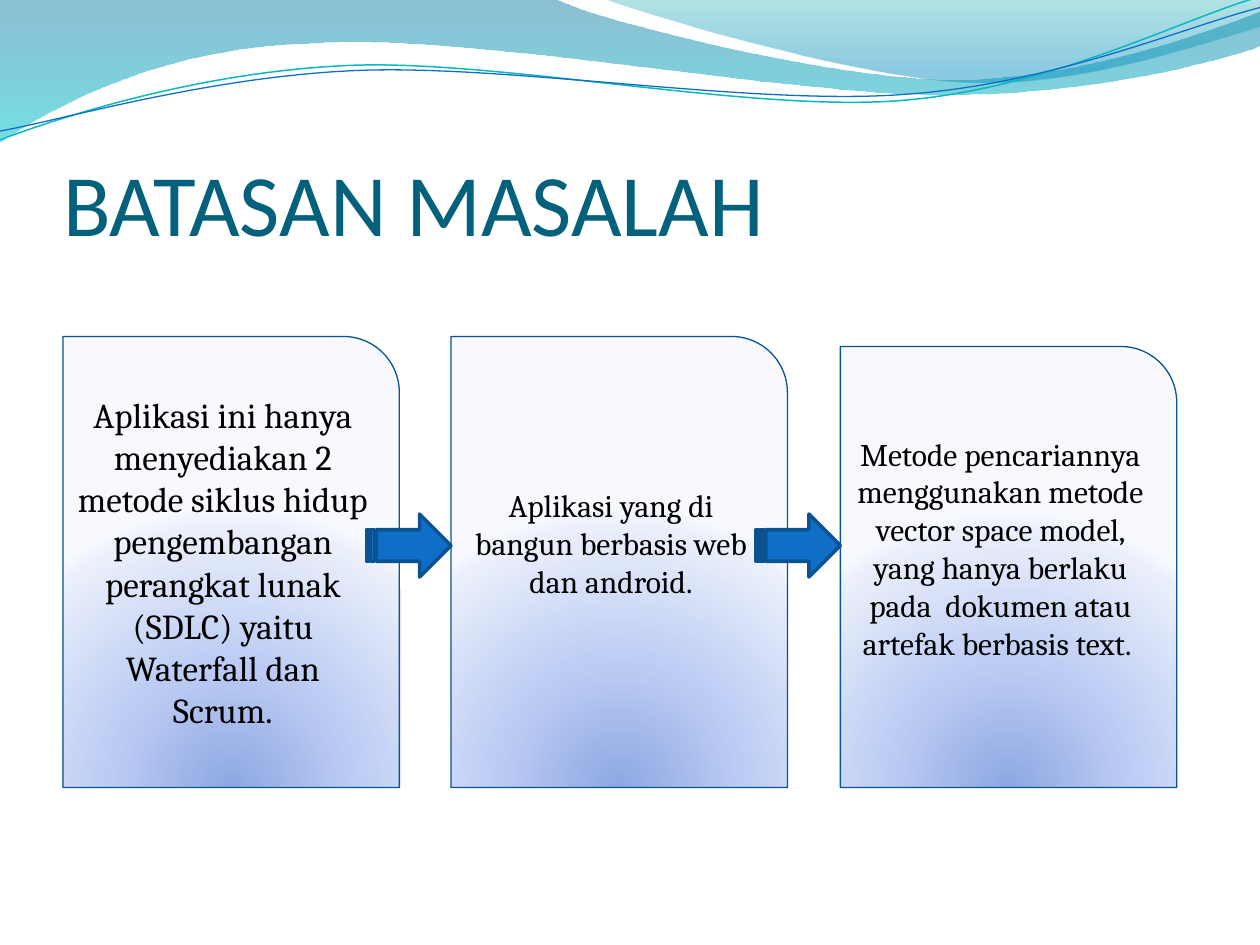
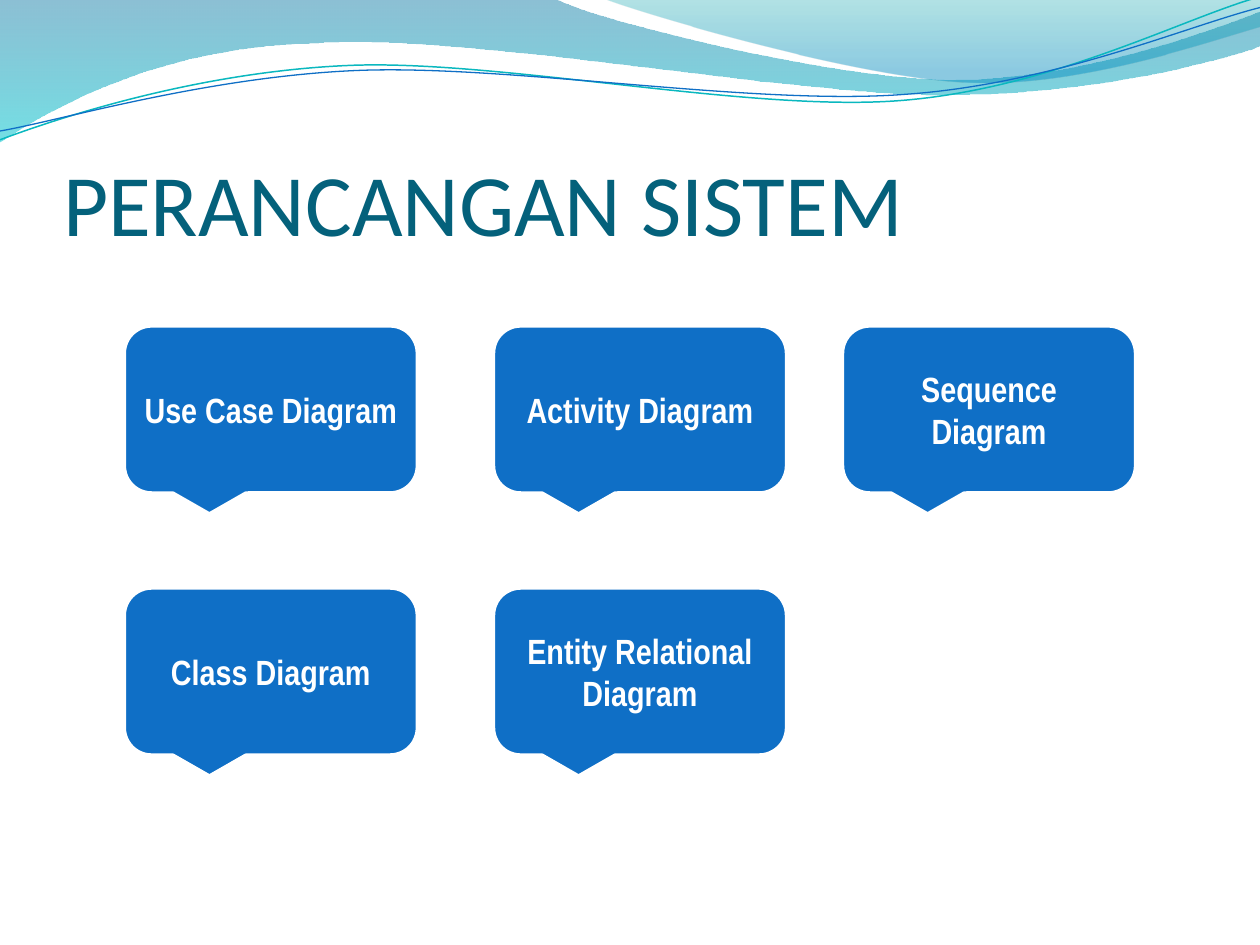
from pptx import Presentation
from pptx.dml.color import RGBColor
from pptx.enum.shapes import MSO_SHAPE
from pptx.enum.text import MSO_ANCHOR, MSO_AUTO_SIZE, PP_ALIGN
from pptx.oxml import parse_xml
from pptx.oxml.ns import nsdecls, qn
from pptx.util import Inches, Pt

CARD = MSO_SHAPE.ROUND_1_RECTANGLE
ARROW = MSO_SHAPE.STRIPED_RIGHT_ARROW
CALLOUT = MSO_SHAPE.ROUNDED_RECTANGULAR_CALLOUT
MIDDLE, BOTTOM = MSO_ANCHOR.MIDDLE, MSO_ANCHOR.BOTTOM
LEFT, CENTER = PP_ALIGN.LEFT, PP_ALIGN.CENTER

BLUE, TEAL, TITLE_COLOR = "0F6FC6", "0AB8BF", "04617B"
BLACK, WHITE = "000000", "FFFFFF"
CARD_LINE, ARROW_LINE = "095295", "0B5292"
DOWNWARD = '<a:lin ang="5400000" scaled="0"/>'
FROM_BELOW = ('<a:path path="circle"><a:fillToRect l="50000" t="130000" '
              'r="50000" b="-30000"/></a:path>')
CARD_FILL = ([(0, "8DA8E3", 100), (43, "BBCBF3", 100),
              (93, "EAEFFB", 100), (100, "F7F9FF", 100)], FROM_BELOW)

# Each wave: start point, segments (one point = line, three = Bezier curve),
# fill, line colour, line width
WAVES = [
    ((0, 0),
     [[(4.4, -0.01)], [(4.76, 0.17), (6.64, 0.63), (7.58, 0.63)],
      [(8.53, 0.63), (9.58, 0.26), (10, 0.09)], [(10.01, 0.36)],
      [(9.83, 0.44), (8.7, 0.76), (7.46, 0.75)],
      [(6.22, 0.75), (3.82, 0.28), (2.57, 0.34)],
      [(1.29, 0.36), (0.46, 0.83), (-0.01, 1.13)], [(0, 0)]],
     ([(0, "0074A1", 45), (100, "00C6CF", 55)], DOWNWARD), None, 0),
    ((4.79, -0.01),
     [[(5.09, 0.11), (6.82, 0.62), (7.69, 0.65)],
      [(8.56, 0.69), (9.61, 0.32), (10, 0.21)], [(10, 0)], [(4.79, -0.01)]],
     ([(0, "00A1A9", 30), (80, "008BBF", 45)], DOWNWARD), None, 0),
    ((0, 1.11),
     [[(0.48, 0.93), (1.58, 0.57), (2.77, 0.52)],
      [(3.95, 0.47), (5.93, 0.89), (7.13, 0.8)],
      [(8.33, 0.71), (9.38, 0.15), (9.98, -0.02)]], None, TEAL, 0.85),
    ((0, 1.04),
     [[(0.47, 0.96), (1.64, 0.61), (2.83, 0.56)],
      [(4.03, 0.51), (5.97, 0.84), (7.17, 0.75)],
      [(8.36, 0.67), (9.41, 0.21), (10, 0.06)]], None, BLUE, 0.75),
]


def paint(s, fill, line, width):
    """Fill with a hex colour, a (stops, direction) gradient or None; set the line."""
    s.shadow.inherit = False
    s.fill.background()
    if isinstance(fill, str):
        s.fill.solid()
        s.fill.fore_color.rgb = RGBColor.from_string(fill)
    elif fill:
        stops, direction = fill
        gs = "".join(f'<a:gs pos="{pos * 1000}"><a:srgbClr val="{color}">'
                     f'<a:alpha val="{alpha * 1000}"/></a:srgbClr></a:gs>'
                     for pos, color, alpha in stops)
        spPr = s._element.spPr
        spPr.replace(spPr.find(qn("a:noFill")), parse_xml(
            f'<a:gradFill {nsdecls("a")} rotWithShape="1">'
            f'<a:gsLst>{gs}</a:gsLst>{direction}</a:gradFill>'))
    if line:
        s.line.color.rgb = RGBColor.from_string(line)
        s.line.width = Pt(width)
    else:
        s.line.fill.background()


def write(s, text, font, size, color, bold=False, align=CENTER, anchor=MIDDLE):
    tf = s.text_frame
    tf.word_wrap = True
    tf.vertical_anchor = anchor
    p = tf.paragraphs[0]
    p.alignment = align
    r = p.add_run()
    r.text = text
    r.font.name, r.font.size, r.font.bold = font, Pt(size), bold
    r.font.color.rgb = RGBColor.from_string(color)


prs = Presentation()
prs.slide_width, prs.slide_height = Inches(10), Inches(7.5)

# Shared layout: title position, then the waves behind it
layout = prs.slide_layouts[5]
title = layout.placeholders[0]
title.left, title.top = Inches(0.5), Inches(0.77)
title.width, title.height = Inches(9), Inches(1.25)
tf = title.text_frame
tf.auto_size = MSO_AUTO_SIZE.NONE
tf.margin_left = tf.margin_right = tf.margin_bottom = 0
tf.margin_top = Inches(0.05)

slides = []
for heading in ("BATASAN MASALAH", "PERANCANGAN SISTEM"):
    slide = prs.slides.add_slide(layout)
    write(slide.shapes.title, heading, "Calibri", 50, TITLE_COLOR,
          align=LEFT, anchor=BOTTOM)
    slides.append(slide)
limits, design = slides

for i, (start, segments, fill, line, width) in enumerate(WAVES):
    builder = limits.shapes.build_freeform(Inches(start[0]), Inches(start[1]))
    builder.add_line_segments([(Inches(x), Inches(y))
                               for segment in segments for x, y in segment],
                              close=fill is not None)
    wave = builder.convert_to_shape()
    # Join the three points of each curve into one Bezier segment
    lines = iter(list(wave._element.iter(qn("a:lnTo"))))
    for segment in segments:
        curve = next(lines)
        if len(segment) == 3:
            curve.tag = qn("a:cubicBezTo")
            for _ in range(2):
                extra = next(lines)
                curve.append(extra[0])
                extra.getparent().remove(extra)
    paint(wave, fill, line, width)
    layout.shapes._spTree.insert(2 + i, wave._element)

# Slide 1: left, top, text size, bottom inset, text
CARDS = [
    (0.5, 2.67, 20, 0.05, "Aplikasi ini hanya menyediakan 2 metode siklus hidup "
     "pengembangan perangkat lunak (SDLC) yaitu Waterfall dan Scrum."),
    (3.58, 2.67, 18, 0.35, "Aplikasi yang di bangun berbasis web dan android."),
    (6.67, 2.75, 18, 0.35, "Metode pencariannya menggunakan metode vector space "
     "model, yang hanya berlaku pada  dokumen atau artefak berbasis text. "),
]
for left, top, size, inset, text in CARDS:
    s = limits.shapes.add_shape(CARD, Inches(left), Inches(top),
                                Inches(2.67), Inches(6.25 - top))
    paint(s, CARD_FILL, CARD_LINE, 0.75)
    write(s, text, "Cambria", size, BLACK)
    s.text_frame.margin_bottom = Inches(inset)

for next_card in CARDS[1:]:
    s = limits.shapes.add_shape(ARROW, Inches(next_card[0] - 0.67), Inches(4.08),
                                Inches(0.67), Inches(0.5))
    paint(s, BLUE, ARROW_LINE, 2)

# Slide 2: diagrams in a grid of three columns
DIAGRAMS = ["Use Case Diagram", "Activity Diagram", "Sequence Diagram",
            "Class Diagram", "Entity Relational Diagram"]
COLUMNS, ROWS = (0.98, 3.91, 6.68), (2.58, 4.66)
for i, name in enumerate(DIAGRAMS):
    row, column = divmod(i, len(COLUMNS))
    s = design.shapes.add_shape(CALLOUT, Inches(COLUMNS[column]), Inches(ROWS[row]),
                                Inches(2.34), Inches(1.34))
    paint(s, BLUE, WHITE, 3)
    write(s, name, "Arial Narrow", 20, WHITE, bold=True)

prs.save("out.pptx")
